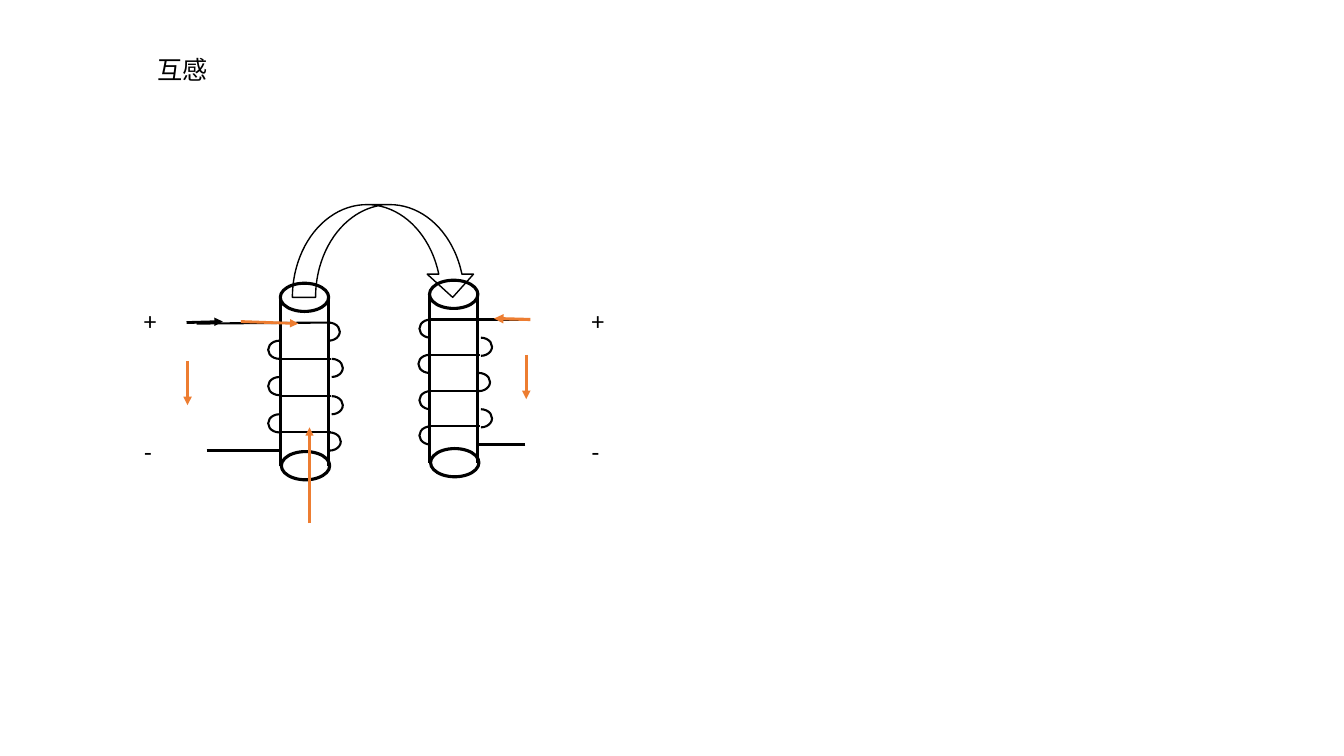
from pptx import Presentation
from pptx.dml.color import RGBColor
from pptx.enum.shapes import MSO_CONNECTOR, MSO_SHAPE
from pptx.enum.text import MSO_AUTO_SIZE
from pptx.oxml.ns import qn
from pptx.util import Emu, Pt
from lxml.etree import SubElement

BLACK = RGBColor(0x00, 0x00, 0x00)
ORANGE = RGBColor(0xED, 0x7D, 0x31)
SCALE = 9144


def px(*sizes):
    return [Emu(size * SCALE) for size in sizes]


class Sketch:
    font = "Calibri"
    size = Pt(18)

    def __init__(self, slide):
        self.shapes = slide.shapes

    def text(self, x, y, width, words, wrap=False):
        box = self.shapes.add_textbox(*px(x, y, width, 40))
        frame = box.text_frame
        frame.word_wrap = wrap
        frame.auto_size = MSO_AUTO_SIZE.SHAPE_TO_FIT_TEXT
        run = frame.paragraphs[0].add_run()
        run.text = words
        run.font.name = self.font
        run.font.size = self.size
        run.font.color.rgb = BLACK

    def outline(self, kind, x, y, width, height, weight):
        shape = self.shapes.add_shape(kind, *px(x, y, width, height))
        shape.shadow.inherit = False
        shape.fill.background()
        shape.line.color.rgb = BLACK
        shape.line.width = Pt(weight)
        return shape

    def line(self, x1, y1, x2, y2, weight=1.5, color=BLACK):
        line = self.shapes.add_connector(
            MSO_CONNECTOR.STRAIGHT, *px(x1, y1, x2, y2))
        line.line.color.rgb = color
        line.line.width = Pt(weight)
        SubElement(line._element.spPr, qn("a:effectLst"))
        return line

    def arrow(self, x1, y1, x2, y2, weight=2, color=ORANGE):
        line = self.line(x1, y1, x2, y2, weight, color)
        SubElement(line.line._get_or_add_ln(), qn("a:tailEnd"), type="triangle")

    def arc(self, x, y, flip):
        arc = self.outline(MSO_SHAPE.ARC, x, y, 22, 18, 1.5)
        arc.adjustments[0] = 162
        arc.adjustments[1] = 54
        if flip:
            arc._element.spPr.xfrm.set("flipH", "1")

    def rod(self, x, top):
        for side in (x, x + 48):
            self.line(side, top, side, top + 167, 2.25)
        for left, y in ((x, top - 14), (x + 1, top + 153)):
            self.outline(MSO_SHAPE.OVAL, left, y, 48, 28, 2.25)

    def coil(self, x, top, pitch, front, back, flip):
        for turn, left in enumerate(front):
            y = top + int(turn * pitch)
            self.arc(left, y, flip)
            if turn:
                self.line(x, y, x + 50, y)
        for turn, left in enumerate(back):
            self.arc(left, top + 18 + int(turn * pitch), not flip)


def main():
    deck = Presentation()
    deck.slide_width, deck.slide_height = px(1333, 750)
    sketch = Sketch(deck.slides.add_slide(deck.slide_layouts[6]))

    sketch.outline(MSO_SHAPE.CURVED_DOWN_ARROW, 290, 203, 182, 92, 1)
    sketch.text(146, 49, 220, "互感", True)

    sketch.rod(426, 292)
    sketch.line(522, 317, 426, 317)
    sketch.coil(426, 317, 35.5, (416, 415, 416, 416), (466, 464, 466), True)
    sketch.line(521, 441, 474, 441)

    sketch.rod(278, 295)
    sketch.line(195, 321, 326, 320)
    sketch.coil(278, 320, 36.5, (315, 318, 318, 316), (266, 266, 266), False)
    sketch.line(205, 447, 278, 447)

    sketch.arrow(185, 320, 221, 319, color=BLACK)
    sketch.arrow(239, 319, 296, 321)
    sketch.arrow(186, 358, 186, 402)
    sketch.arrow(307, 519, 307, 424, 1.5)
    sketch.arrow(526, 317, 490, 316, 2.25)
    sketch.arrow(522, 352, 522, 396)

    for x in (133, 577):
        sketch.text(x, 298, 33, "+")
        sketch.text(x, 428, 28, "-")

    deck.save("out.pptx")


if __name__ == "__main__":
    main()
